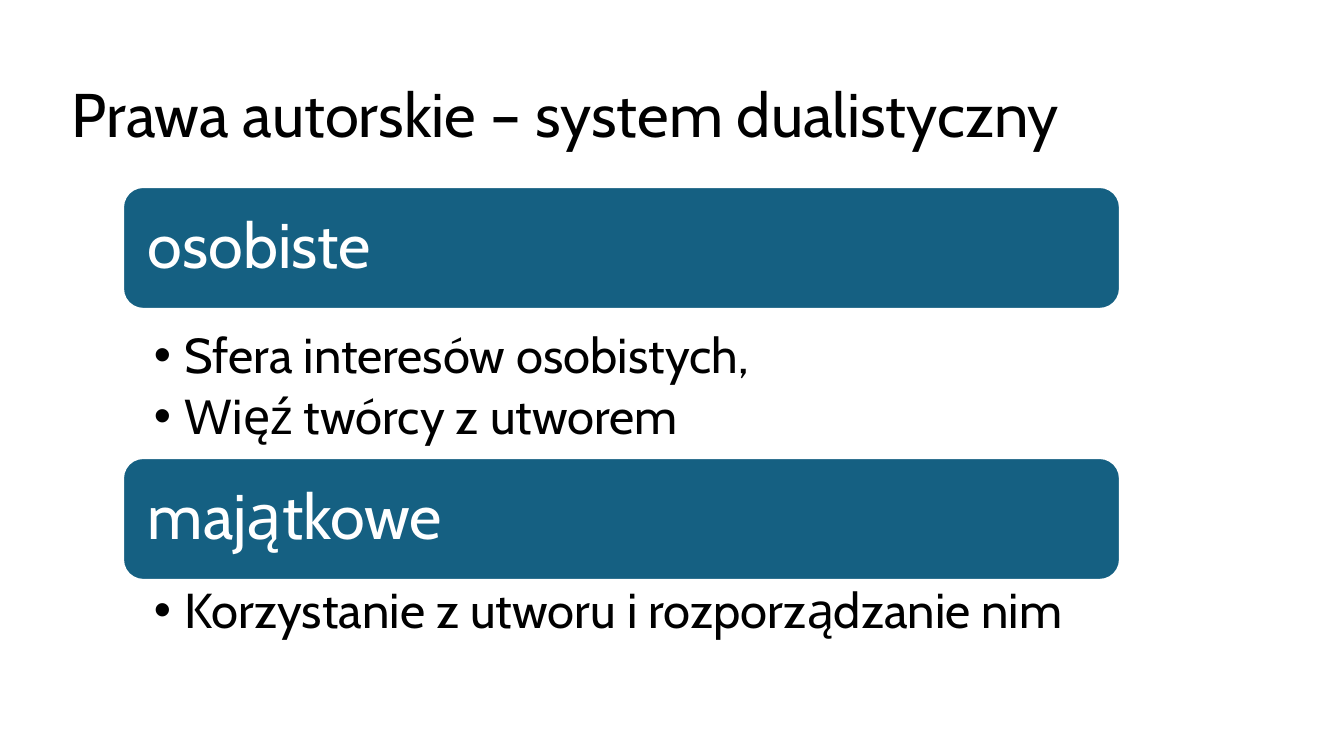
from lxml import etree
from pptx import Presentation
from pptx import util as u
from pptx.dml.color import RGBColor
from pptx.enum import shapes, text
from pptx.oxml.ns import qn

COLORS = {"ink": "000000", "paper": "FFFFFF", "band": "156082"}
EMU_PER_PX = 914400 / 100.8


def px(length):
    return u.Emu(round(length * EMU_PER_PX))


def color(name):
    return RGBColor.from_string(COLORS[name])


class SlideBuilder:
    font = "Cabin"
    line_spacing = 0.9

    def __init__(self, slide):
        self.slide = slide

    def fill_text(self, holder, lines, size, ink, insets, anchor, bullet_indent=0, gap=0):
        frame = holder.text_frame
        left, top, right, bottom = map(px, insets)
        layout = {
            "word_wrap": True,
            "auto_size": text.MSO_AUTO_SIZE.NONE,
            "vertical_anchor": anchor,
            "margin_left": left,
            "margin_top": top,
            "margin_right": right,
            "margin_bottom": bottom,
        }
        for name, value in layout.items():
            setattr(frame, name, value)
        frame.text = "\n".join(lines)
        for paragraph in frame.paragraphs:
            if bullet_indent:
                self.bullet(paragraph, bullet_indent)
            spacing = {
                "alignment": text.PP_ALIGN.LEFT,
                "line_spacing": self.line_spacing,
                "space_after": u.Pt(gap),
            }
            for name, value in spacing.items():
                setattr(paragraph, name, value)
            font = paragraph.runs[0].font
            for name, value in {"name": self.font, "size": u.Pt(size)}.items():
                setattr(font, name, value)
            font.color.rgb = color(ink)

    def bullet(self, paragraph, indent):
        properties = paragraph._p.get_or_add_pPr()
        properties.set("marL", str(px(indent)))
        properties.set("indent", str(-px(indent)))
        etree.SubElement(properties, qn("a:buFont")).set("typeface", "Arial")
        etree.SubElement(properties, qn("a:buChar")).set("char", "•")

    def title(self, box, words):
        holder = self.slide.shapes.add_textbox(*map(px, box))
        self.fill_text(holder, [words], 44, "ink", (10, 5, 10, 5), text.MSO_ANCHOR.MIDDLE)

    def band(self, box, words):
        holder = self.slide.shapes.add_shape(
            shapes.MSO_SHAPE.ROUNDED_RECTANGLE, *map(px, box))
        holder.shadow.inherit = False
        holder.fill.solid()
        holder.fill.fore_color.rgb = color("band")
        holder.line.color.rgb = color("paper")
        holder.line.width = u.Pt(1.5)
        self.fill_text(holder, [words], 45, "paper", (19, 19, 19, 19), text.MSO_ANCHOR.MIDDLE)

    def bullets(self, box, lines):
        holder = self.slide.shapes.add_textbox(*map(px, box))
        self.fill_text(holder, lines, 35, "ink", (31, 6, 35, 6), text.MSO_ANCHOR.TOP,
                       bullet_indent=31, gap=6)


def main():
    deck = Presentation()
    deck.slide_width, deck.slide_height = px(1344), px(756)
    builder = SlideBuilder(deck.slides.add_slide(deck.slide_layouts[6]))

    builder.title((62, 48, 1008, 139), "Prawa autorskie – system dualistyczny")

    left, width, band_height = 123, 997, 122
    rights = [
        ("osobiste", 187, 325, 133,
         ["Sfera interesów osobistych,", "Więź twórcy z utworem"]),
        ("majątkowe", 458, 580, 82,
         ["Korzystanie z utworu i rozporządzanie nim"]),
    ]
    for heading, band_top, list_top, list_height, features in rights:
        builder.band((left, band_top, width, band_height), heading)
        builder.bullets((left, list_top, width, list_height), features)

    deck.save("out.pptx")


if __name__ == "__main__":
    main()
